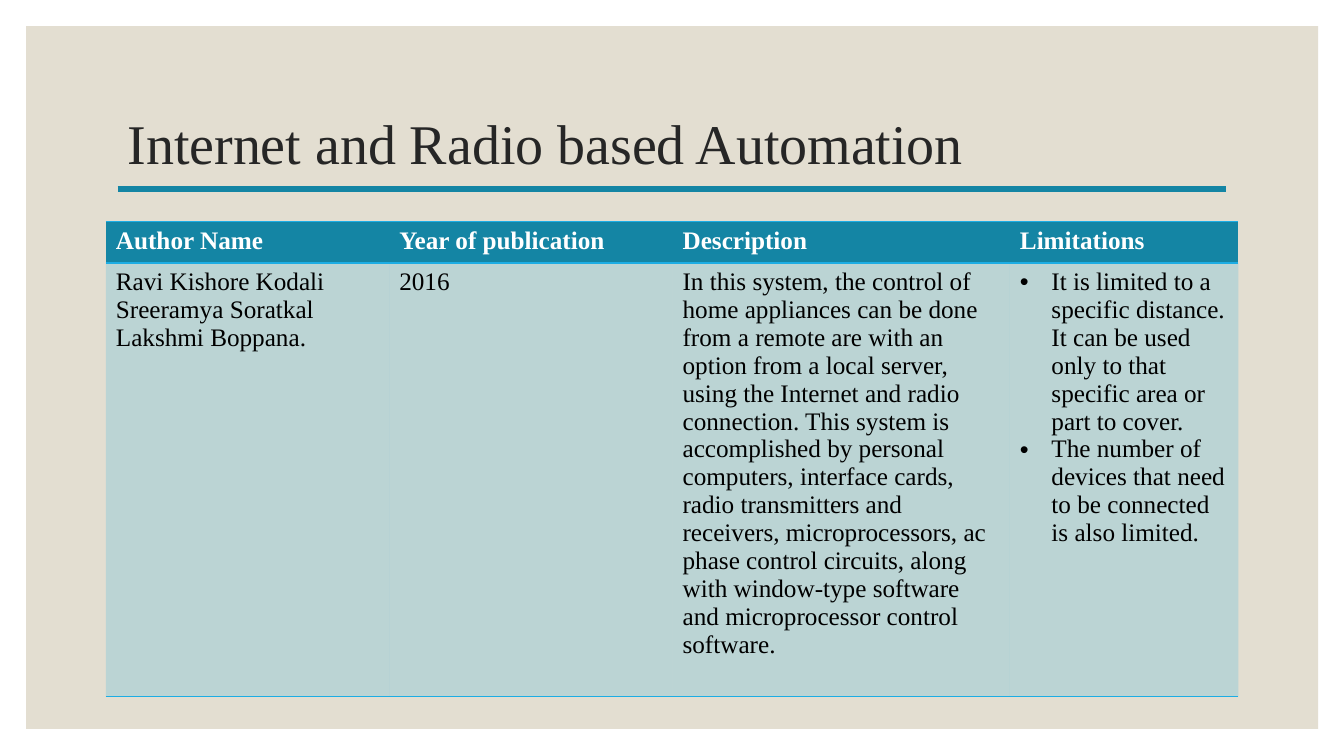
from pptx import Presentation
from pptx.dml.color import RGBColor
from pptx.enum.shapes import MSO_CONNECTOR as Connector, MSO_SHAPE as Shape
from pptx.enum.text import MSO_ANCHOR as Anchor
from pptx.oxml.ns import qn
from pptx.util import Pt
from lxml.etree import SubElement

FONT = "Times New Roman"
TEAL = "1485A4"
BLUE = "1CADE4"


def color(value):
    return RGBColor.from_string(value)


def write(frame, paragraphs, size=18, ink="000000", bold=False, spacing=1.0, bullet=None):
    frame.word_wrap = True
    for index, text in enumerate(paragraphs):
        para = frame.paragraphs[0] if index == 0 else frame.add_paragraph()
        para.line_spacing = spacing
        span = para.add_run()
        span.text = text
        span.font.name = FONT
        span.font.size = Pt(size)
        span.font.bold = bold
        span.font.color.rgb = color(ink)
        if bullet:
            props = para._p.get_or_add_pPr()
            props.set("marL", str(Pt(22.5)))
            props.set("indent", str(Pt(-22.5)))
            SubElement(props, qn("a:buFont"), typeface="Arial")
            SubElement(props, qn("a:buChar"), char=bullet)


deck = Presentation()
deck.slide_width, deck.slide_height = Pt(960), Pt(540)
page = deck.slides.add_slide(deck.slide_layouts[6])

panel = page.shapes.add_shape(Shape.RECTANGLE, Pt(18.7), Pt(18.7), Pt(922.8), Pt(502))
panel.shadow.inherit = False
panel.fill.solid()
panel.fill.fore_color.rgb = color("E3DED1")
panel.line.fill.background()

title = page.shapes.add_textbox(Pt(84), Pt(50.4), Pt(792), Pt(108))
title.text_frame.vertical_anchor = Anchor.MIDDLE
write(title.text_frame, ["Internet and Radio based Automation"], size=40, ink="262626", spacing=0.9)

columns = [
    ("Author Name", 202.4, ["Ravi Kishore Kodali", "Sreeramya Soratkal Lakshmi Boppana."]),
    ("Year of publication", 202.4, ["2016"]),
    ("Description", 241, [
        "In this system, the control of home appliances can be done from a remote are "
        "with an option from a local server, using the Internet and radio connection. "
        "This system is accomplished by personal computers, interface cards, radio "
        "transmitters and receivers, microprocessors, ac phase control circuits, along "
        "with window-type software and microprocessor control software."]),
    ("Limitations", 163.2, [
        "It is limited to a specific distance. It can be used only to that specific area "
        "or part to cover.",
        "The number of devices that need to be connected is also limited."]),
]
table = page.shapes.add_table(2, len(columns), Pt(75.6), Pt(158.4), Pt(809), Pt(315.3)).table
table._tbl.tblPr.find(qn("a:tableStyleId")).text = "{2D5ABB26-0587-4C30-8999-92F81FD0307C}"
table.horz_banding = False
table.rows[0].height, table.rows[1].height = Pt(29.5), Pt(285.8)

for index, (heading, width, body) in enumerate(columns):
    table.columns[index].width = Pt(width)
    head_cell, body_cell = table.cell(0, index), table.cell(1, index)
    write(head_cell.text_frame, [heading], ink="FFFFFF", bold=True)
    write(body_cell.text_frame, body, bullet="•" if heading == "Limitations" else None)
    for cell, fill in ((head_cell, TEAL), (body_cell, BLUE)):
        props = cell._tc.get_or_add_tcPr()
        for side in ("a:lnT", "a:lnB"):
            border = SubElement(props, qn(side), w=str(Pt(1)))
            SubElement(SubElement(border, qn("a:solidFill")), qn("a:srgbClr"), val=BLUE)
        cell.fill.solid()
        cell.fill.fore_color.rgb = color(fill)
    tint = body_cell._tc.tcPr.find(qn("a:solidFill")).find(qn("a:srgbClr"))
    SubElement(tint, qn("a:alpha"), val="20000")

rule = page.shapes.add_connector(Connector.STRAIGHT, Pt(84), Pt(135), Pt(876), Pt(135))
rule.line.color.rgb = color(TEAL)
rule.line.width = Pt(4.5)
SubElement(rule._element.spPr, qn("a:effectLst"))

deck.save("out.pptx")
